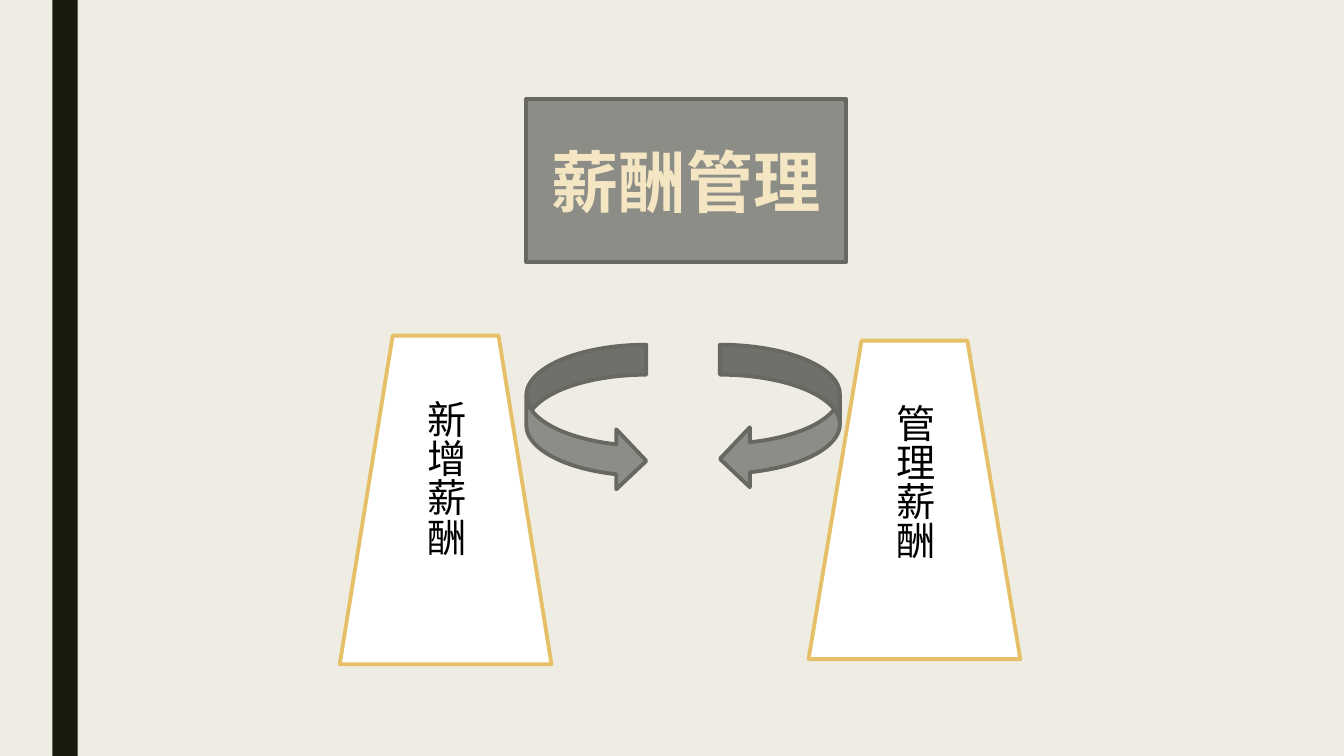
from lxml import etree
from pptx import Presentation
from pptx.dml.color import RGBColor
from pptx.enum.shapes import MSO_SHAPE
from pptx.enum.text import MSO_ANCHOR, MSO_AUTO_SIZE, PP_ALIGN
from pptx.oxml.ns import qn
from pptx.util import Inches, Pt

RECTANGLE, TRAPEZOID = MSO_SHAPE.RECTANGLE, MSO_SHAPE.TRAPEZOID
RIGHT_ARROW = MSO_SHAPE.CURVED_RIGHT_ARROW
LEFT_ARROW = MSO_SHAPE.CURVED_LEFT_ARROW
MIDDLE, CENTER, NO_AUTOFIT = MSO_ANCHOR.MIDDLE, PP_ALIGN.CENTER, MSO_AUTO_SIZE.NONE

PAPER = RGBColor(0xEF, 0xED, 0xE3)
INK = RGBColor(0x19, 0x1B, 0x0E)
GREY = RGBColor(0x8C, 0x8D, 0x86)
DARK_GREY = RGBColor(0x68, 0x68, 0x63)
GOLD = RGBColor(0xE6, 0xC0, 0x69)
CREAM = RGBColor(0xF5, 0xE6, 0xC3)
WHITE = RGBColor(0xFF, 0xFF, 0xFF)
BLACK = RGBColor(0, 0, 0)

# Content: boxes are left, top, width, height in inches
WIDTH, HEIGHT = 13.33, 7.5
FONT = "Roboto"
BORDER = Pt(2.75)
BAR = (0.52, 0, 0.25, HEIGHT)
TITLE = ("薪酬管理", (5.22, 0.98, 3.17, 1.62))
PILLARS = [
    ("新增薪酬", (3.37, 3.33, 2.1, 3.26)),
    ("管理薪酬", (8.02, 3.38, 2.1, 3.16)),
]
ARROWS = [
    (RIGHT_ARROW, (5.22, 3.42, 1.19, 1.45)),
    (LEFT_ARROW, (7.14, 3.42, 1.19, 1.43)),
]
TITLE_FORMAT = {"name": FONT, "size": Pt(48), "bold": True}
PILLAR_FORMAT = {"name": FONT, "size": Pt(28), "bold": False}


def paint(part, fill, border=None):
    part.fill.solid()
    part.fill.fore_color.rgb = fill
    if border is None:
        part.line.fill.background()
    else:
        part.line.color.rgb = border
        part.line.width = BORDER


def draw(kind, box, fill, border=None):
    part = slide.shapes.add_shape(kind, *map(Inches, box))
    part.shadow.inherit = False
    paint(part, fill, border)
    return part


def write(part, words, text_format, color):
    frame = part.text_frame
    frame.word_wrap = True
    frame.auto_size = NO_AUTOFIT
    frame.vertical_anchor = MIDDLE
    paragraph = frame.paragraphs[0]
    paragraph.alignment = CENTER
    run = paragraph.add_run()
    run.text = words
    for key, value in text_format.items():
        setattr(run.font, key, value)
    run.font.color.rgb = color
    properties = run._r.get_or_add_rPr()
    etree.SubElement(properties, qn("a:ea"), typeface=FONT)
    return properties


deck = Presentation()
deck.slide_width, deck.slide_height = Inches(WIDTH), Inches(HEIGHT)
slide = deck.slides.add_slide(deck.slide_layouts[5])
slide.background.fill.solid()
slide.background.fill.fore_color.rgb = PAPER

# Side bar
draw(RECTANGLE, BAR, INK)

# Title in a rounded box with outlined letters
title_words, title_box = TITLE
title = slide.shapes.title
for side, length in zip(("left", "top", "width", "height"), title_box):
    setattr(title, side, Inches(length))
geometry = etree.SubElement(title._element.spPr, qn("a:prstGeom"),
                            prst="flowChartAlternateProcess")
etree.SubElement(geometry, qn("a:avLst"))
paint(title, GREY, DARK_GREY)
letters = write(title, title_words, TITLE_FORMAT, CREAM)
outline = etree.Element(qn("a:ln"), w=str(Pt(1.75)))
outline_fill = etree.SubElement(outline, qn("a:solidFill"))
etree.SubElement(outline_fill, qn("a:srgbClr"), val=str(GOLD))
letters.insert(0, outline)

# Pillars with vertical text
for words, box in PILLARS:
    pillar = draw(TRAPEZOID, box, WHITE, GOLD)
    write(pillar, words, PILLAR_FORMAT, BLACK)
    pillar.text_frame._txBody.bodyPr.set("vert", "eaVert")

# Curved arrows between the pillars
for kind, box in ARROWS:
    draw(kind, box, GREY, DARK_GREY)

deck.save("out.pptx")
